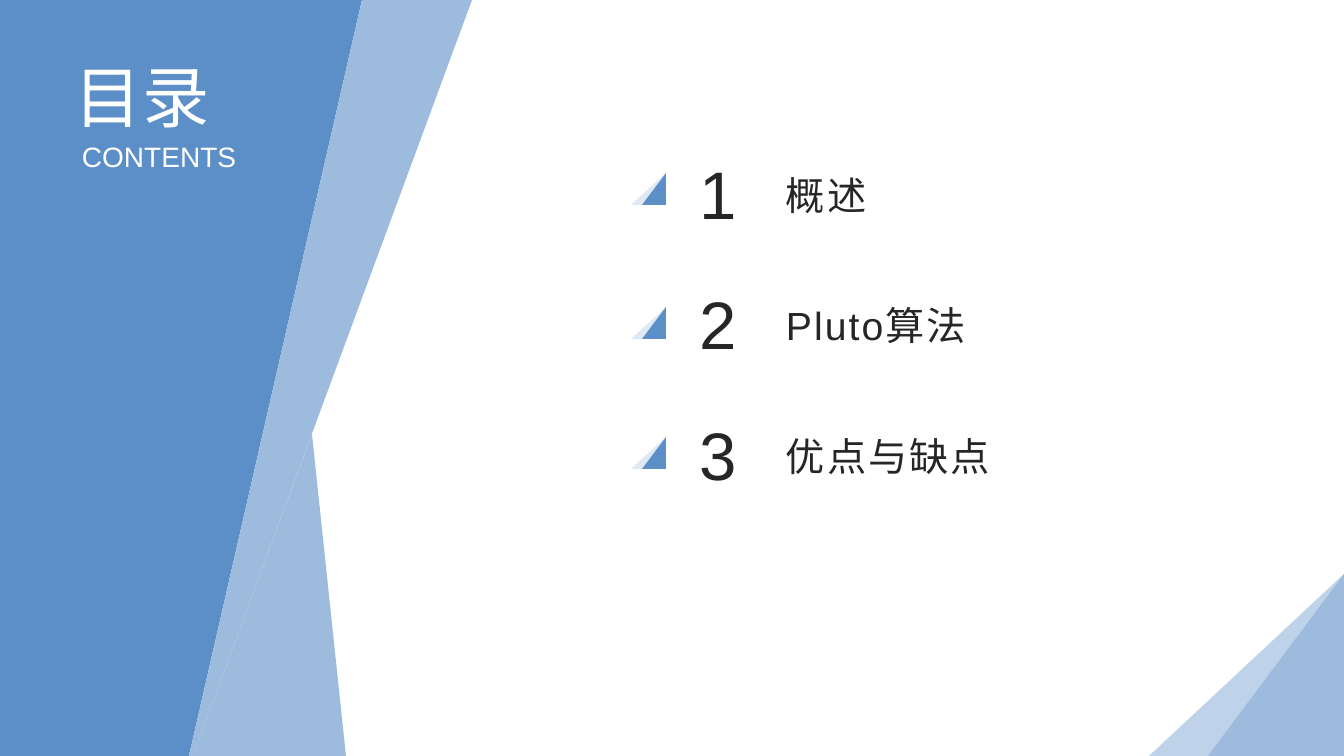
from dataclasses import dataclass

from pptx import Presentation
from pptx.dml.color import RGBColor
from pptx.enum.shapes import MSO_SHAPE as Preset
from pptx.enum.text import MSO_ANCHOR as Anchor
from pptx.util import Emu, Pt

SCALE = 914400 / 100.8  # EMU in one pixel
PAGE_W, PAGE_H = 1344, 756
COLORS = {
    "blue": "5C8FC7",
    "mid": "9DBCDD",
    "light": "BED2E9",
    "pale": "DEE9F4",
    "ink": "262626",
    "white": "FFFFFF",
}


@dataclass(frozen=True)
class Outline:
    points: tuple[tuple[int, int], ...]
    color: str


@dataclass(frozen=True)
class Corner:
    left: int
    top: int
    width: int
    height: int
    color: str


@dataclass(frozen=True)
class Label:
    text: str
    left: int
    top: int
    width: int
    height: int
    size: int
    color: str = "ink"
    anchor: Anchor = Anchor.TOP
    spacing: int = 0  # hundredths of a point


@dataclass(frozen=True)
class Entry:
    title: str
    top: int
    marker_top: int


PANELS = (
    Outline(((0, 0), (362, 0), (189, PAGE_H), (0, PAGE_H)), "blue"),
    Outline(((472, 0), (193, PAGE_H), (189, PAGE_H), (362, 0)), "mid"),
    Outline(((312, 434), (346, PAGE_H), (193, PAGE_H)), "mid"),
)
ENTRIES = (
    Entry("概述", 147, 173),
    Entry("Pluto算法", 277, 307),
    Entry("优点与缺点", 408, 437),
)
HEADINGS = (
    Label("目录", 65, 50, 155, 92, 48, "white"),
    Label("CONTENTS", 72, 135, 176, 44, 20, "white"),
)


def px(value: int) -> Emu:
    return Emu(round(value * SCALE))


def paint(shape, color: str) -> None:
    shape.shadow.inherit = False
    shape.fill.solid()
    shape.fill.fore_color.rgb = RGBColor.from_string(COLORS[color])
    shape.line.fill.background()


def draw_outline(page, outline: Outline) -> None:
    start, *others = outline.points
    builder = page.shapes.build_freeform(*start, scale=SCALE)
    builder.add_line_segments(others, close=True)
    paint(builder.convert_to_shape(), outline.color)


def draw_corner(page, corner: Corner) -> None:
    frame = map(px, (corner.left, corner.top, corner.width, corner.height))
    triangle = page.shapes.add_shape(Preset.ISOSCELES_TRIANGLE, *frame)
    triangle.adjustments[0] = 1
    paint(triangle, corner.color)


def draw_label(page, label: Label) -> None:
    frame = map(px, (label.left, label.top, label.width, label.height))
    box = page.shapes.add_textbox(*frame)
    text_frame = box.text_frame
    text_frame.word_wrap = True
    text_frame.vertical_anchor = label.anchor
    text_frame.text = label.text
    span = text_frame.paragraphs[0].runs[0]
    span.font.name = "Arial"
    span.font.size = Pt(label.size)
    span.font.color.rgb = RGBColor.from_string(COLORS[label.color])
    if label.spacing:
        span._r.get_or_add_rPr().set("spc", str(label.spacing))


def draw_entry(page, number: int, entry: Entry) -> None:
    top, bottom = entry.marker_top, entry.marker_top + 32
    draw_label(page, Label(str(number), 690, entry.top, 59, 92, 48))
    draw_outline(page, Outline(((666, top), (659, bottom), (631, bottom)), "pale"))
    draw_corner(page, Corner(642, top, 24, 32, "blue"))
    draw_label(page, Label(entry.title, 776, entry.top, 318, 95, 28,
                           anchor=Anchor.MIDDLE, spacing=150))


deck = Presentation()
deck.slide_width, deck.slide_height = px(PAGE_W), px(PAGE_H)
page = deck.slides.add_slide(deck.slide_layouts[6])

# Bottom right decoration
draw_outline(page, Outline(((PAGE_W, 574), (1306, PAGE_H), (1149, PAGE_H)), "light"))
draw_corner(page, Corner(1208, 574, 136, 182, "mid"))

# Left panels
for panel in PANELS:
    draw_outline(page, panel)

# Contents list
for number, entry in enumerate(ENTRIES, start=1):
    draw_entry(page, number, entry)

# Headings
for heading in HEADINGS:
    draw_label(page, heading)

deck.save("out.pptx")
